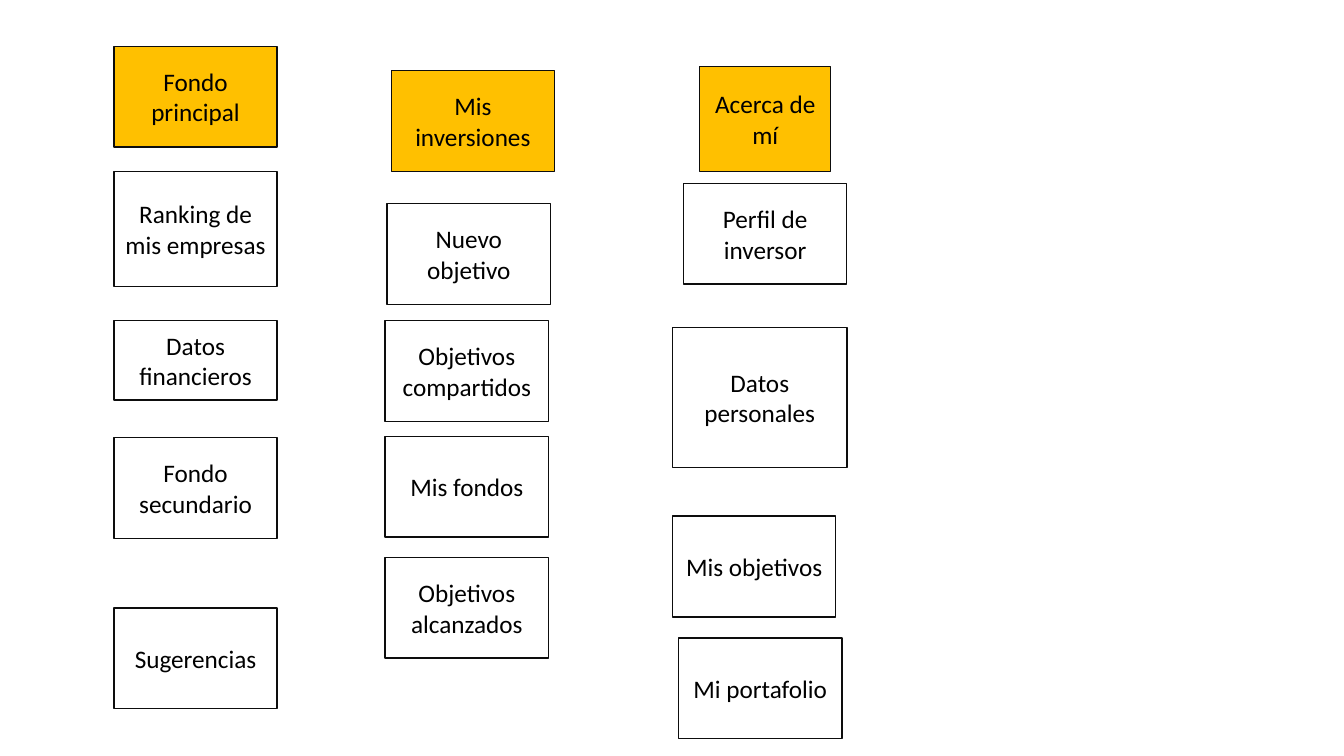
import pptx
import pptx.util
import pptx.dml.color
import pptx.enum.shapes
import pptx.enum.text

RGBColor = pptx.dml.color.RGBColor
GOLD = RGBColor(0xFF, 0xC0, 0x00)
EDGE = RGBColor(0x0D, 0x0D, 0x0D)
BLACK = RGBColor(0, 0, 0)

# Grid of 100 columns by 100 rows over the slide
GRID = 100
WIDE, HIGH = 12.15, 13.33

# Each menu: heading first, then its pages (label, column, row, size changes)
MENUS = [
    [
        ("Fondo principal", 8.48, 6.13, {}),
        ("Ranking de mis empresas", 8.48, 22.67, {"high": 15.2}),
        ("Datos financieros", 8.48, 42.4, {"high": 10.53}),
        ("Fondo secundario", 8.48, 57.87, {}),
        ("Sugerencias", 8.48, 80.4, {}),
    ],
    [
        ("Mis inversiones", 29.11, 9.33, {}),
        ("Nuevo objetivo", 28.81, 26.93, {}),
        ("Objetivos compartidos", 28.66, 42.4, {}),
        ("Mis fondos", 28.66, 57.73, {}),
        ("Objetivos alcanzados", 28.66, 73.73, {}),
    ],
    [
        ("Acerca de mí", 52.06, 8.8, {"wide": 9.75, "high": 13.87}),
        ("Perfil de inversor", 50.86, 24.27, {}),
        ("Datos personales", 50.04, 43.33, {"wide": 12.98, "high": 18.53}),
        ("Mis objetivos", 50.04, 68.27, {}),
        ("Mi portafolio", 50.49, 84.4, {}),
    ],
]


def write(frame, text, size=18, font="Calibri", color=BLACK):
    """Put centred, formatted text in a frame."""
    frame.word_wrap = True
    frame.vertical_anchor = pptx.enum.text.MSO_ANCHOR.MIDDLE
    para = frame.paragraphs[0]
    para.alignment = pptx.enum.text.PP_ALIGN.CENTER
    run = para.add_run()
    run.text = text
    run.font.size = pptx.util.Pt(size)
    run.font.name = font
    run.font.color.rgb = color


class Board:
    """Holds the style and the current slide."""

    def __init__(self, deck, edge=EDGE, line=1):
        """Add a blank slide and keep its grid steps."""
        self.slide = deck.slides.add_slide(deck.slide_layouts[6])
        self.col = deck.slide_width / GRID
        self.row = deck.slide_height / GRID
        self.edge = edge
        self.line = pptx.util.Pt(line)

    def box(self, text, col, row, wide=WIDE, high=HIGH, fill=None):
        """Draw an outlined box with a label."""
        shape = self.slide.shapes.add_shape(
            pptx.enum.shapes.MSO_SHAPE.RECTANGLE,
            round(col * self.col), round(row * self.row),
            round(wide * self.col), round(high * self.row))
        shape.shadow.inherit = False
        if fill is None:
            shape.fill.background()
        else:
            shape.fill.solid()
            shape.fill.fore_color.rgb = fill
        shape.line.color.rgb = self.edge
        shape.line.width = self.line
        write(shape.text_frame, text)

    def menu(self, items):
        """Draw a gold heading and its plain pages."""
        for rank, (text, col, row, size) in enumerate(items):
            self.box(text, col, row, fill=None if rank else GOLD, **size)


deck = pptx.Presentation()
deck.slide_width = pptx.util.Inches(13.33)
deck.slide_height = pptx.util.Inches(7.5)
board = Board(deck)
for items in MENUS:
    board.menu(items)
deck.save("out.pptx")
